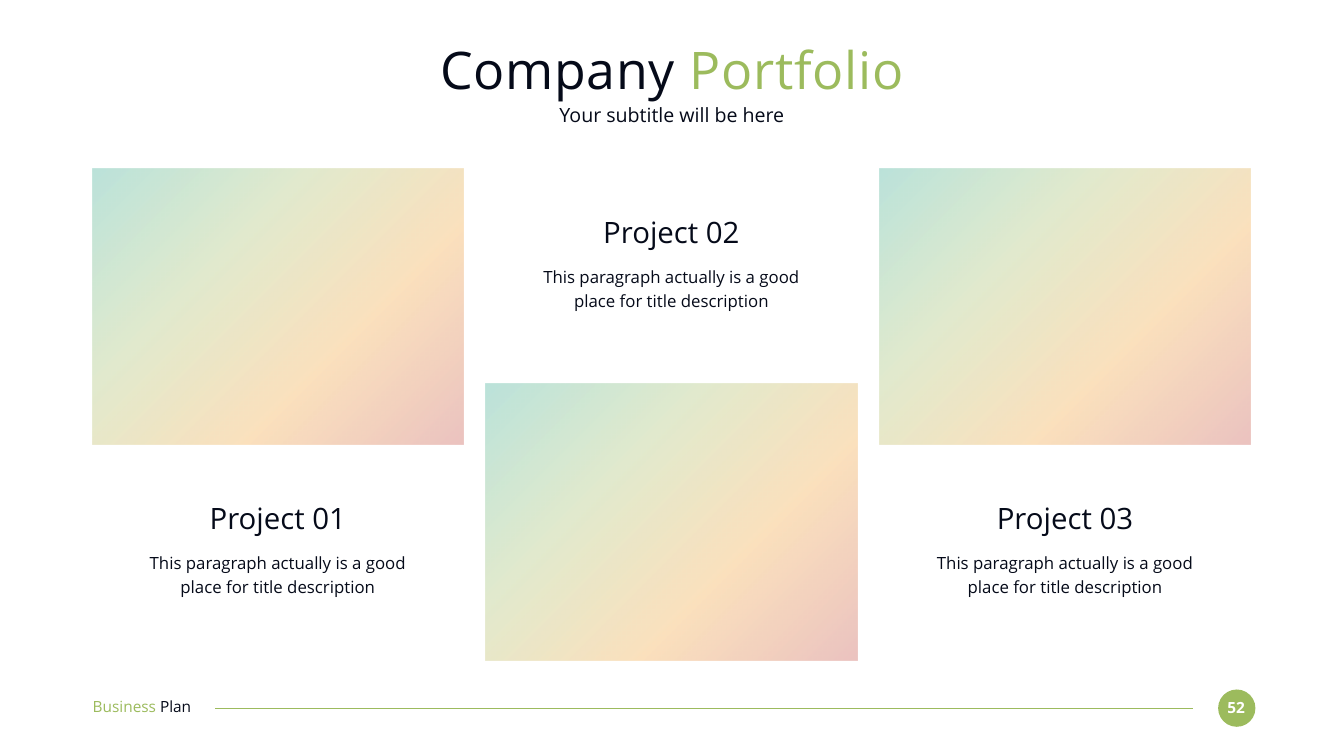
from lxml.etree import SubElement
from pptx import Presentation
from pptx.dml.color import RGBColor
from pptx.enum.shapes import MSO_CONNECTOR, MSO_SHAPE
from pptx.enum.text import MSO_ANCHOR, MSO_AUTO_SIZE, PP_ALIGN
from pptx.oxml.ns import qn
from pptx.util import Pt

COLORS = {
    "ink": "050A19", "green": "9CBB5D", "teal": "1FA185",
    "orange": "F29B27", "red": "BD382F", "white": "FFFFFF",
}
FONT = "Open Sans"
GRADIENT = [(0, "teal"), (33, "green"), (66, "orange"), (100, "red")]
DESCRIPTION = "This paragraph actually is a good place for title description"

# Three columns with alternating photo and caption positions
COLUMN_LEFT, COLUMN_STEP = 131.8, 562.3
PHOTO_WIDTH, PHOTO_HEIGHT = 530.6, 394.6
CAPTION_INSET, CAPTION_WIDTH = 50.8, 428.4
PROJECTS = [  # heading, photo top, caption top
    ("Project 01", 240.5, 714.2),
    ("Project 02", 548.6, 305.3),
    ("Project 03", 240.5, 714.2),
]


def rgb(name):
    return RGBColor.from_string(COLORS[name])


def write(frame, runs, size, align=PP_ALIGN.CENTER, bold=False, spacing=None):
    """Fill the first paragraph with (text, colour) runs and return it."""
    frame.word_wrap = True
    frame.margin_left = frame.margin_right = 0
    frame.margin_top = frame.margin_bottom = 0
    paragraph = frame.paragraphs[0]
    paragraph.alignment = align
    for text, color in runs:
        run = paragraph.add_run()
        run.text = text
        run.font.name = FONT
        run.font.size = Pt(size)
        run.font.bold = bold
        run.font.color.rgb = rgb(color)
        if spacing:
            run.font._element.set("spc", str(spacing))
    return paragraph


def add_label(shapes, left, top, width, height, runs, size, **style):
    label = shapes.add_textbox(Pt(left), Pt(top), Pt(width), Pt(height))
    label.text_frame.auto_size = MSO_AUTO_SIZE.SHAPE_TO_FIT_TEXT
    return write(label.text_frame, runs, size, **style)


def fill_placeholder(holder, top, height, runs, size, spacing=None):
    holder.left, holder.top = Pt(COLUMN_LEFT), Pt(top)
    holder.width, holder.height = Pt(1656), Pt(height)
    frame = holder.text_frame
    frame.auto_size = MSO_AUTO_SIZE.NONE
    frame.vertical_anchor = MSO_ANCHOR.MIDDLE
    properties = frame.paragraphs[0]._p.get_or_add_pPr()
    properties.set("marL", "0")
    properties.set("indent", "0")
    SubElement(properties, qn("a:buNone"))
    write(frame, runs, size, spacing=spacing).space_before = Pt(0)


def add_photo_area(shapes, left, top):
    area = shapes.add_shape(MSO_SHAPE.RECTANGLE, Pt(left), Pt(top),
                            Pt(PHOTO_WIDTH), Pt(PHOTO_HEIGHT))
    area.shadow.inherit = False
    area.line.fill.background()
    area.fill.gradient()
    area.fill.gradient_angle = 315
    # Four translucent gradient stops
    stops = area._element.spPr.find(".//" + qn("a:gsLst"))
    for stop in list(stops):
        stops.remove(stop)
    for position, color in GRADIENT:
        stop = SubElement(stops, qn("a:gs"), pos=str(position * 1000))
        tint = SubElement(stop, qn("a:srgbClr"), val=COLORS[color])
        SubElement(tint, qn("a:alpha"), val="30000")


def add_caption(shapes, left, top, heading):
    caption = shapes.add_group_shape().shapes
    add_label(caption, left, top, CAPTION_WIDTH, 51.1, [(heading, "ink")], 42)
    description = add_label(caption, left, top + 69.8, CAPTION_WIDTH, 67.7,
                            [(DESCRIPTION, "ink")], 24)
    description.line_spacing = 1.2


def add_footer(shapes):
    # Page number badge
    badge = shapes.add_shape(MSO_SHAPE.OVAL, Pt(1740.2), Pt(985), Pt(53.3), Pt(53.3))
    badge.shadow.inherit = False
    badge.fill.solid()
    badge.fill.fore_color.rgb = rgb("green")
    badge.line.fill.background()
    add_label(shapes, 1744.6, 997.2, 42.5, 26.6, [("52", "white")], 22, bold=True)
    # Rule
    rule = shapes.add_connector(MSO_CONNECTOR.STRAIGHT, Pt(1704.2), Pt(1011.6),
                                Pt(307.4), Pt(1011.6))
    rule.line.color.rgb = rgb("green")
    rule.line.width = Pt(1.5)
    SubElement(rule._element.spPr, qn("a:effectLst"))
    # Deck name
    add_label(shapes, 132.5, 996.5, 186.5, 26.6,
              [("Business ", "green"), ("Plan", "ink")], 22, align=PP_ALIGN.LEFT)


def main():
    deck = Presentation()
    deck.slide_width, deck.slide_height = Pt(1920), Pt(1080)
    slide = deck.slides.add_slide(deck.slide_layouts[1])
    shapes = slide.shapes

    # Title and subtitle
    fill_placeholder(shapes.title, 52.6, 91.4,
                     [("Company ", "ink"), ("Portfolio", "green")], 74, spacing=100)
    fill_placeholder(slide.placeholders[1], 146.2, 35.3,
                     [("Your subtitle will be here", "ink")], 28)

    add_footer(shapes)

    # Projects
    for column, (heading, photo_top, caption_top) in enumerate(PROJECTS):
        left = COLUMN_LEFT + column * COLUMN_STEP
        add_photo_area(shapes, left, photo_top)
        add_caption(shapes, left + CAPTION_INSET, caption_top, heading)

    deck.save("out.pptx")


if __name__ == "__main__":
    main()
